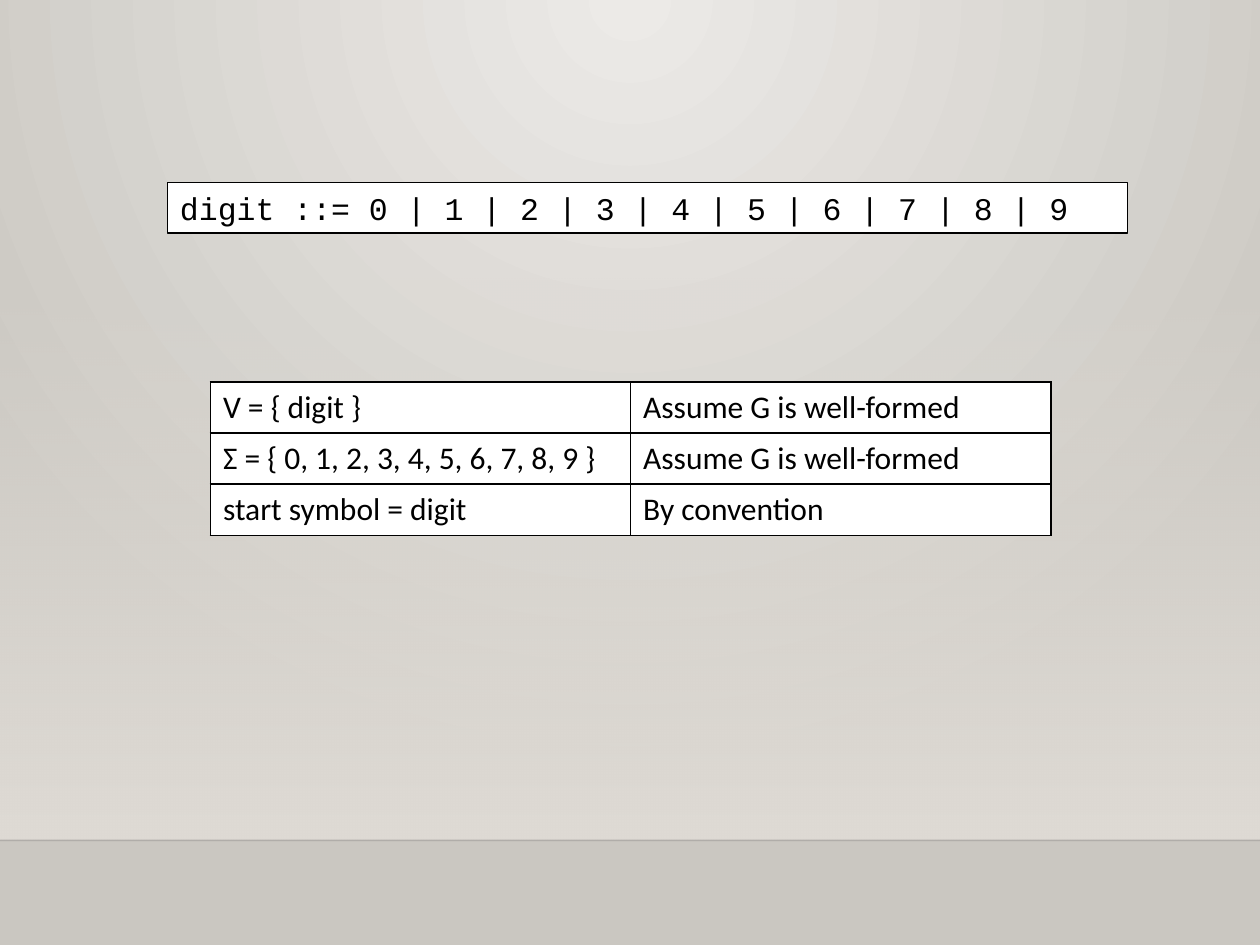
from pptx import Presentation
from pptx.dml.color import RGBColor
from pptx.enum.shapes import MSO_CONNECTOR as CONN, MSO_SHAPE as SHAPE
from pptx.enum.text import MSO_ANCHOR as ANCHOR, MSO_AUTO_SIZE as AUTO, PP_ALIGN as ALIGN
from pptx.oxml import parse_xml
from pptx.oxml.ns import nsdecls, qn
from pptx.oxml.xmlchemy import OxmlElement
from pptx.util import Inches, Pt

COLORS = {
    "glow": "ECEAE7",
    "edge": "CAC7C1",
    "wall": "DFDBD5",
    "floor_line": "000001",
    "ink": "000000",
    "paper": "FFFFFF",
}
RULE = "digit ::= 0 | 1 | 2 | 3 | 4 | 5 | 6 | 7 | 8 | 9"
FACTS = [
    ("V = { digit }", "Assume G is well-formed"),
    ("Σ = { 0, 1, 2, 3, 4, 5, 6, 7, 8, 9 }", "Assume G is well-formed"),
    ("start symbol = digit", "By convention"),
]


def rgb(name):
    return RGBColor.from_string(COLORS[name])


def set_gradient(owner, stops, shade):
    """Replace the solid fill inside owner; stops are (percent, colour, alpha percent)."""
    gs = "".join(
        f'<a:gs pos="{pos * 1000}"><a:srgbClr val="{COLORS[name]}">'
        f'<a:alpha val="{alpha * 1000}"/></a:srgbClr></a:gs>'
        for pos, name, alpha in stops
    )
    grad = parse_xml(
        f'<a:gradFill {nsdecls("a")} rotWithShape="1"><a:gsLst>{gs}</a:gsLst>{shade}</a:gradFill>'
    )
    solid = owner.find(qn("a:solidFill"))
    owner.replace(solid, grad)


def style_text(p, font):
    p.alignment = ALIGN.LEFT
    p.font.name = font
    p.font.size = Pt(18)
    p.font.color.rgb = rgb("ink")


def add_backdrop(slide, width, floor_top):
    slide.background.fill.solid()
    set_gradient(
        slide.element.find(".//" + qn("p:bgPr")),
        [(0, "glow", 100), (100, "edge", 100)],
        '<a:path path="circle"><a:fillToRect l="43000" t="0" r="43000" b="100000"/></a:path>',
    )

    wall_top = Inches(2.2)
    wall = slide.shapes.add_shape(SHAPE.RECTANGLE, 0, wall_top, width, floor_top - wall_top)
    wall.shadow.inherit = False
    wall.line.fill.background()
    wall.fill.solid()
    set_gradient(
        wall.element.spPr,
        [(0, "wall", 0), (100, "wall", 100)],
        '<a:lin ang="5400000" scaled="0"/>',
    )

    line = slide.shapes.add_connector(CONN.STRAIGHT, 0, floor_top, width, floor_top)
    line.line.width = Pt(1)
    line.line.color.rgb = rgb("floor_line")
    alpha = OxmlElement("a:alpha")
    alpha.set("val", "20000")
    line.element.spPr.find(".//" + qn("a:srgbClr")).append(alpha)
    line.element.spPr.append(OxmlElement("a:effectLst"))


def add_rule_box(slide, left, top, width, height):
    sp = slide.shapes.add_shape(SHAPE.RECTANGLE, left, top, width, height)
    sp.shadow.inherit = False
    sp.fill.solid()
    sp.fill.fore_color.rgb = rgb("paper")
    sp.line.color.rgb = rgb("ink")
    sp.line.width = Pt(0.75)
    tf = sp.text_frame
    tf.word_wrap = True
    tf.auto_size = AUTO.SHAPE_TO_FIT_TEXT
    tf.vertical_anchor = ANCHOR.TOP
    p = tf.paragraphs[0]
    p.text = RULE
    style_text(p, "Courier New")


def add_borders(cell):
    tc_pr = cell._tc.get_or_add_tcPr()
    for i, side in enumerate(("lnL", "lnR", "lnT", "lnB")):
        tc_pr.insert(i, parse_xml(
            f'<a:{side} {nsdecls("a")} w="{Pt(1)}"><a:solidFill>'
            f'<a:srgbClr val="{COLORS["ink"]}"/></a:solidFill></a:{side}>'
        ))


def add_facts_table(slide, left, top, width, height):
    frame = slide.shapes.add_table(len(FACTS), len(FACTS[0]), left, top, width, height)
    table = frame.table
    table.first_row = table.horz_banding = False
    for r, row in enumerate(FACTS):
        for c, text in enumerate(row):
            cell = table.cell(r, c)
            cell.fill.solid()
            cell.fill.fore_color.rgb = rgb("paper")
            add_borders(cell)
            p = cell.text_frame.paragraphs[0]
            p.text = text
            style_text(p, "Calibri")


def main():
    prs = Presentation()
    prs.slide_width, prs.slide_height = Inches(10), Inches(7.5)
    slide = prs.slides.add_slide(prs.slide_layouts[6])
    add_backdrop(slide, prs.slide_width, Inches(6.67))
    add_rule_box(slide, Inches(1.33), Inches(1.45), Inches(7.62), Inches(0.4))
    add_facts_table(slide, Inches(1.67), Inches(3.03), Inches(6.67), Inches(1.22))
    prs.save("out.pptx")


if __name__ == "__main__":
    main()
